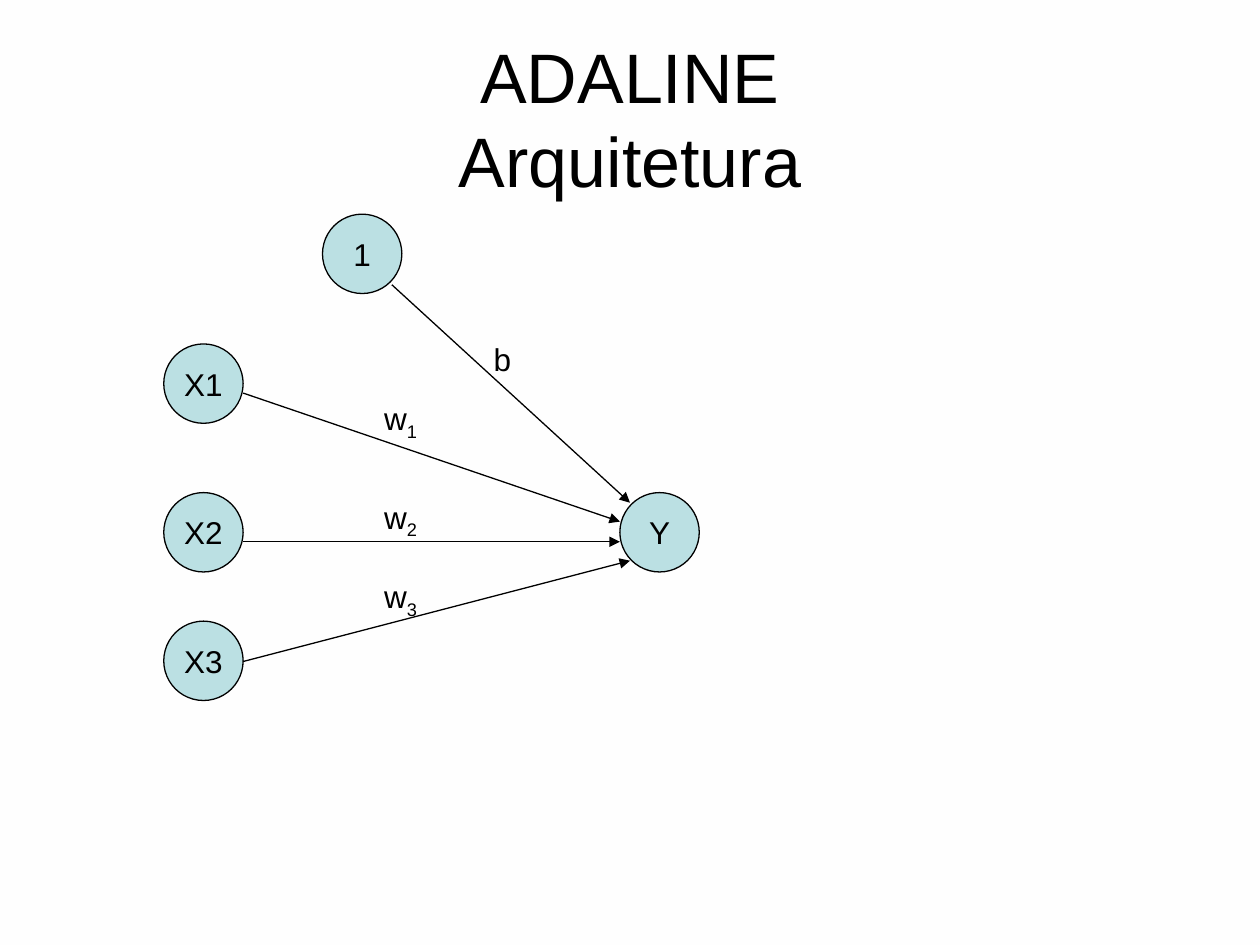
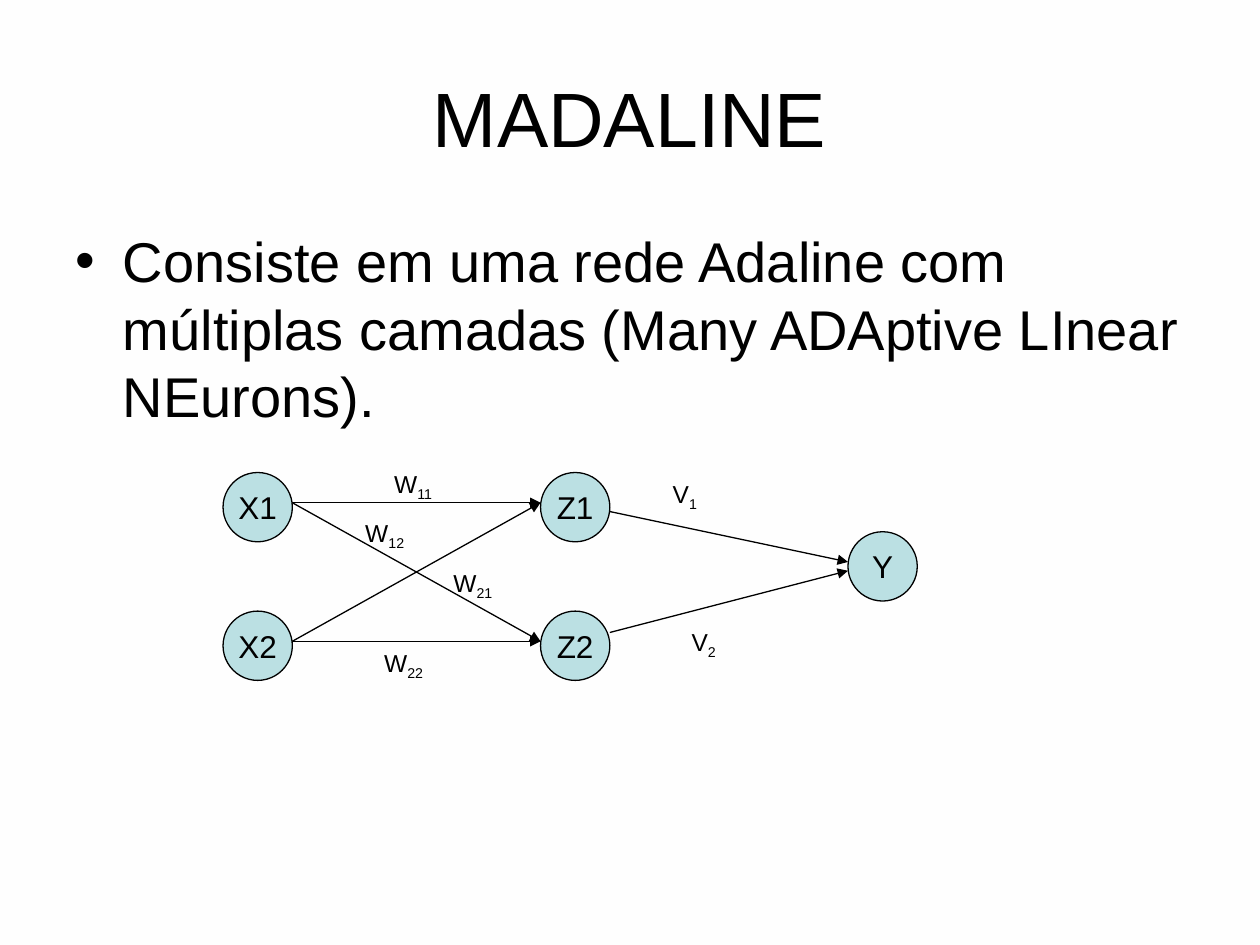
from dataclasses import dataclass
from itertools import product

from lxml.etree import SubElement
from pptx import Presentation
from pptx.dml.color import RGBColor
from pptx.enum.shapes import MSO_CONNECTOR as Connector, MSO_SHAPE as Shape
from pptx.enum.text import MSO_ANCHOR as Anchor, MSO_AUTO_SIZE as AutoSize, PP_ALIGN as Align
from pptx.oxml.ns import qn
from pptx.util import Inches, Pt


@dataclass(frozen=True)
class Theme:
    font: str = "Arial"
    ink: RGBColor = RGBColor(0x00, 0x00, 0x00)
    neuron: RGBColor = RGBColor(0xBB, 0xE0, 0xE3)
    background: tuple = (RGBColor(0xFE, 0xFE, 0xFE), RGBColor(0xFF, 0xFF, 0xFF))
    line_width: float = 0.75
    title_size: int = 44
    long_title_size: int = 40
    body_size: int = 32
    neuron_size: int = 18
    weight_size: int = 18
    small_weight_size: int = 14


THEME = Theme()
TITLE_ONLY, TITLE_AND_BODY = 5, 1


# Shared styling
def format_text(paragraph, size):
    for run in paragraph.runs:
        run.font.name = THEME.font
        run.font.size = Pt(size)
        run.font.color.rgb = THEME.ink


def format_line(line):
    line.color.rgb = THEME.ink
    line.width = Pt(THEME.line_width)


def place(shape, left, top, width, height):
    shape.left, shape.top = Inches(left), Inches(top)
    shape.width, shape.height = Inches(width), Inches(height)


def set_background(master):
    fill = master.background.fill
    fill.gradient()
    fill.gradient_angle = 270
    for stop, color in zip(fill.gradient_stops, THEME.background):
        stop.color.rgb = color


def fill_title(slide, text, box, size):
    title = slide.shapes.title
    place(title, *box)
    frame = title.text_frame
    frame.text = text
    frame.auto_size = AutoSize.NONE
    frame.vertical_anchor = Anchor.MIDDLE
    frame.paragraphs[0].alignment = Align.CENTER
    format_text(frame.paragraphs[0], size)


def fill_body(slide, text, box):
    body = slide.placeholders[1]
    place(body, *box)
    frame = body.text_frame
    frame.text = text
    frame.auto_size = AutoSize.NONE
    paragraph = frame.paragraphs[0]
    paragraph.space_before = Pt(8)
    format_text(paragraph, THEME.body_size)


# Parts of a network, placed from the network's origin
def add_neuron(slide, origin, name, position, diameter):
    left, top = origin[0] + position[0], origin[1] + position[1]
    neuron = slide.shapes.add_shape(
        Shape.OVAL, Inches(left), Inches(top), Inches(diameter), Inches(diameter))
    neuron.shadow.inherit = False
    neuron.fill.solid()
    neuron.fill.fore_color.rgb = THEME.neuron
    format_line(neuron.line)
    frame = neuron.text_frame
    frame.text = name
    frame.word_wrap = False
    frame.vertical_anchor = Anchor.MIDDLE
    frame.paragraphs[0].alignment = Align.CENTER
    format_text(frame.paragraphs[0], THEME.neuron_size)


def add_synapse(slide, origin, start, end):
    x, y = origin
    synapse = slide.shapes.add_connector(
        Connector.STRAIGHT,
        Inches(x + start[0]), Inches(y + start[1]),
        Inches(x + end[0]), Inches(y + end[1]))
    format_line(synapse.line)
    properties = synapse.element.spPr
    SubElement(properties.find(qn("a:ln")), qn("a:tailEnd"), type="triangle")
    SubElement(properties, qn("a:effectLst"))


def add_weight(slide, origin, label, position, box_size, size):
    letter, index = label[0], label[1:]
    weight = slide.shapes.add_textbox(
        Inches(origin[0] + position[0]), Inches(origin[1] + position[1]),
        Inches(box_size[0]), Inches(box_size[1]))
    frame = weight.text_frame
    frame.text = letter
    frame.word_wrap = True
    frame.auto_size = AutoSize.SHAPE_TO_FIT_TEXT
    paragraph = frame.paragraphs[0]
    paragraph.space_before = Pt(round(size * 0.625, 1))
    if index:
        subscript = paragraph.add_run()
        subscript.text = index
        subscript._r.get_or_add_rPr().set("baseline", "-25000")
    format_text(paragraph, size)


def draw_network(slide, origin, diameter, neurons, synapses):
    for name, position in neurons.items():
        add_neuron(slide, origin, name, position, diameter)
    for start, end in synapses:
        add_synapse(slide, origin, start, end)


# Slides
def build_adaline(presentation):
    slide = presentation.slides.add_slide(presentation.slide_layouts[TITLE_ONLY])
    fill_title(slide, "ADALINE\vArquitetura", (0.5, 0.21, 9, 1.44), THEME.long_title_size)

    origin, diameter, output_left = (1.3, 1.7), 0.63, 3.62
    neurons = {"X1": (0, 1.03), "X2": (0, 2.21), "X3": (0, 3.23),
               "1": (1.26, 0), "Y": (output_left, 2.21)}
    synapses = [((1.81, 0.56), (3.7, 2.29)),
                ((diameter, 1.42), (output_left, 2.44)),
                ((diameter, 2.6), (output_left, 2.6)),
                ((diameter, 3.55), (3.7, 2.75))]
    draw_network(slide, origin, diameter, neurons, synapses)

    add_weight(slide, origin, "b", (2.52, 0.95), (0.39, 0.4), THEME.weight_size)
    for label, top in (("w1", 1.42), ("w2", 2.2), ("w3", 2.83)):
        add_weight(slide, origin, label, (1.65, top), (0.63, 0.44), THEME.weight_size)


def build_madaline(presentation):
    slide = presentation.slides.add_slide(presentation.slide_layouts[TITLE_AND_BODY])
    fill_title(slide, "MADALINE", (0.5, 0.3, 9, 1.25), THEME.title_size)
    fill_body(slide, "Consiste em uma rede Adaline com múltiplas camadas "
                     "(Many ADAptive LInear NEurons).", (0.5, 1.75, 9, 4.95))

    origin, diameter = (1.77, 3.75), 0.55
    hidden_left, output_left, row_gap = 2.52, 4.96, 1.1
    neurons = {"X1": (0, 0), "X2": (0, row_gap),
               "Z2": (hidden_left, row_gap), "Z1": (hidden_left, 0),
               "Y": (output_left, 0.47)}
    # Every input feeds every hidden neuron
    port_rows = (0.24, 0.24 + row_gap)
    synapses = [((diameter, start), (hidden_left, end))
                for start, end in product(port_rows, repeat=2)]
    hidden_right = hidden_left + diameter
    synapses += [((hidden_right, 0.31), (output_left, 0.71)),
                 ((hidden_right, 1.27), (output_left, 0.78))]
    draw_network(slide, origin, diameter, neurons, synapses)

    weights = {"W11": (1.26, -0.08), "W12": (1.03, 0.31), "W21": (1.73, 0.71),
               "W22": (1.18, 1.34), "V1": (3.47, 0), "V2": (3.62, 1.18)}
    for label, position in weights.items():
        add_weight(slide, origin, label, position, (0.71, 0.37), THEME.small_weight_size)


def main():
    presentation = Presentation()
    presentation.slide_width, presentation.slide_height = Inches(10), Inches(7.5)
    set_background(presentation.slide_master)
    build_adaline(presentation)
    build_madaline(presentation)
    presentation.save("out.pptx")


if __name__ == "__main__":
    main()
